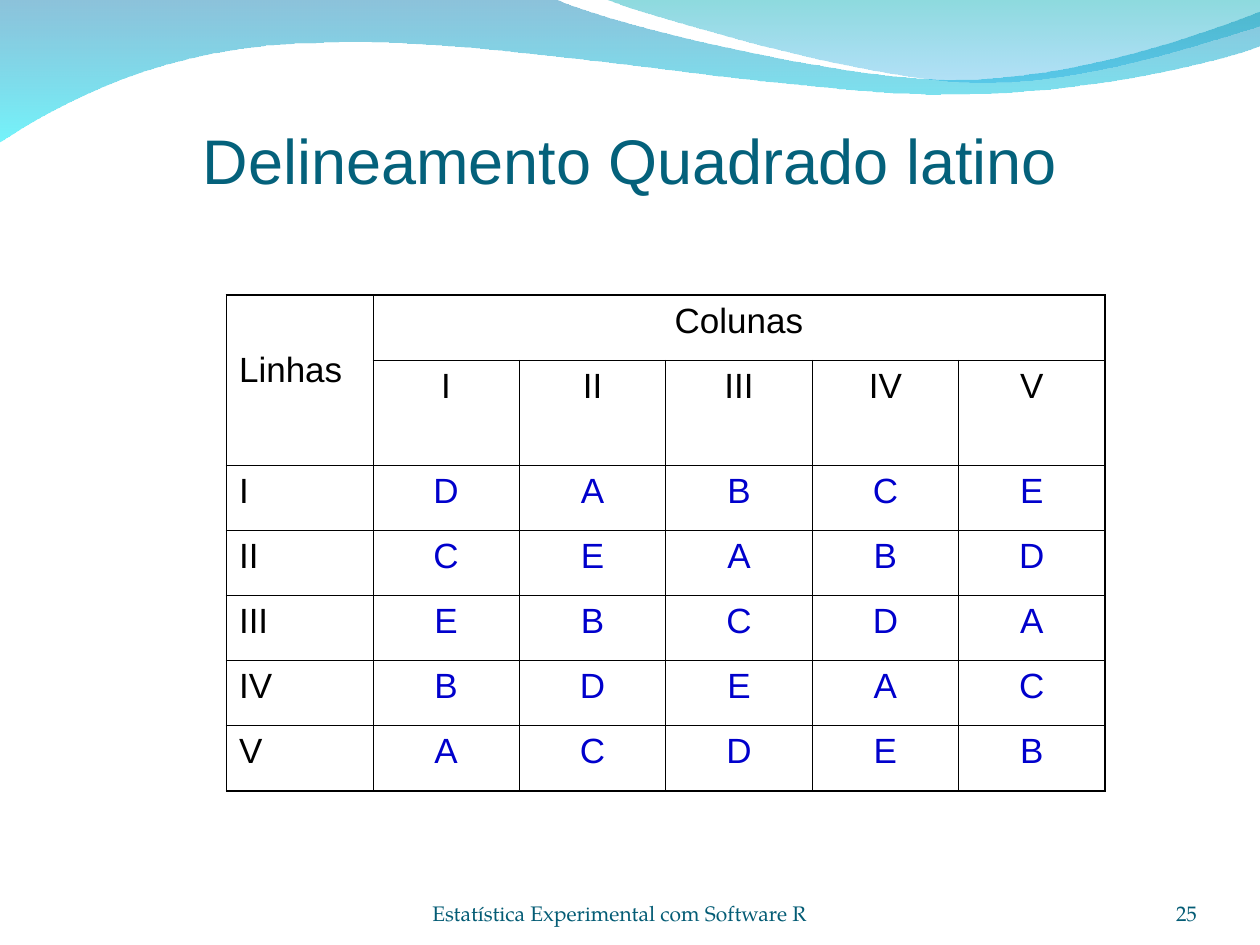
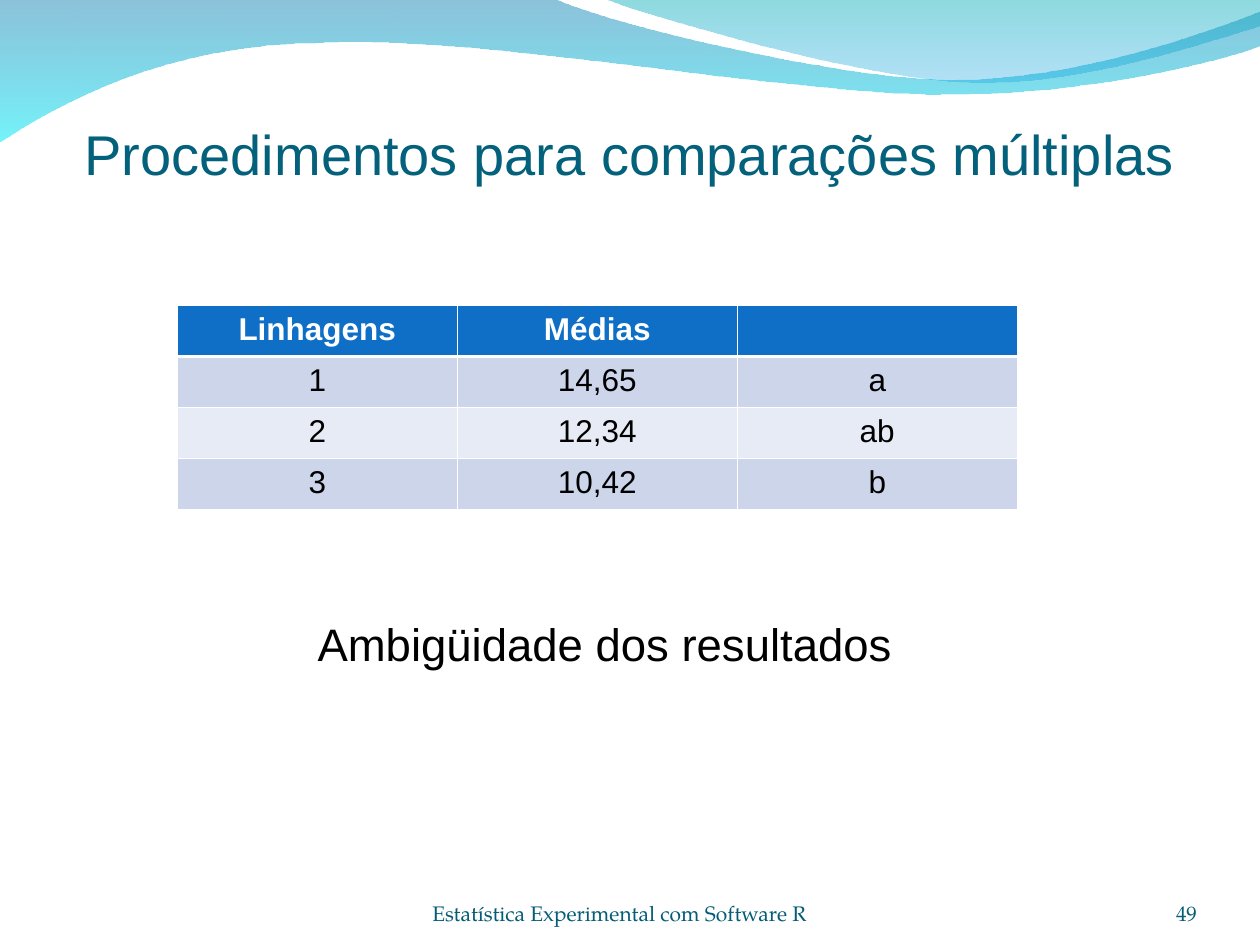
from lxml import etree
from pptx import Presentation
from pptx.dml.color import RGBColor
from pptx.enum.text import MSO_ANCHOR, PP_ALIGN
from pptx.oxml.ns import qn
from pptx.util import Pt

LEFT, CENTER, RIGHT = PP_ALIGN.LEFT, PP_ALIGN.CENTER, PP_ALIGN.RIGHT
TOP, BOTTOM = MSO_ANCHOR.TOP, MSO_ANCHOR.BOTTOM
SANS, SERIF = "Arial", "TeX Gyre Pagella"
TITLE, FOOTER, BLACK, WHITE, BLUE = "04617B", "045C75", "000000", "FFFFFF", "0000CC"
HEADER, BAND_DARK, BAND_LIGHT = "0F6FC6", "CCD5EA", "E7EBF5"
rgb = RGBColor.from_string


def write(tf, text, size, font, color, align, bold=False):
    p = tf.paragraphs[0]
    p.alignment = align
    r = p.add_run()
    r.text = text
    r.font.size = Pt(size)
    r.font.name = font
    r.font.bold = bold
    r.font.color.rgb = rgb(color)


def set_borders(cell, color, widths):
    tc_pr = cell._tc.get_or_add_tcPr()
    for i, (side, width) in enumerate(zip("LRTB", widths)):
        ln = etree.Element(qn(f"a:ln{side}"), w=str(Pt(width)))
        fill = etree.SubElement(ln, qn("a:solidFill"))
        etree.SubElement(fill, qn("a:srgbClr"), val=color)
        tc_pr.insert(i, ln)


prs = Presentation()
prs.slide_width, prs.slide_height = Pt(720), Pt(540)

waves = [
    ((0, -0.7), [
        [(316.8, -0.7)],
        [(342.7, 12.2), (478.1, 45.4), (545.8, 45.4)],
        [(614.2, 45.4), (689.8, 18.7), (720, 6.5)],
        [(720.7, 25.9)],
        [(707.8, 31.7), (626.4, 54.7), (537.1, 54)],
        [(447.8, 54), (275, 20.2), (185, 24.5)],
        [(92.9, 25.2), (33.1, 59.8), (-0.7, 81.4)],
        [(0, -0.7)],
    ], [("0079AF", 45), ("00EBF8", 55)]),
    ((344.9, -0.7), [
        [(366.5, 7.9), (491, 44.6), (553.7, 46.8)],
        [(616.3, 49.7), (691.9, 23), (720, 15.1)],
        [(720, 0)],
        [(344.9, -0.7)],
    ], [("00ADB6", 45), ("009BE5", 30)]),
]

pages = [
    ("Delineamento Quadrado latino", 36, 57.2, "25"),
    ("Procedimentos para comparações múltiplas", 32, 51.1, "49"),
]

for title, title_size, title_height, number in pages:
    s = prs.slides.add_slide(prs.slide_layouts[6])

    for start, segments, stops in waves:
        builder = s.shapes.build_freeform(Pt(start[0]), Pt(start[1]))
        builder.add_line_segments([(Pt(x), Pt(y)) for segment in segments for x, y in segment], close=True)
        sp = builder.convert_to_shape()
        lines = iter(list(sp._element.iter(qn("a:lnTo"))))
        for segment in segments:
            group = [next(lines) for _ in segment]
            if len(group) == 3:
                curve = etree.Element(qn("a:cubicBezTo"))
                group[0].addprevious(curve)
                for line in group:
                    curve.append(line[0])
                    line.getparent().remove(line)
        sp.shadow.inherit = False
        sp.line.fill.background()
        sp.fill.gradient()
        sp.fill.gradient_angle = 270
        for stop, (color, _) in zip(sp.fill.gradient_stops, stops):
            stop.color.rgb = rgb(color)
        for clr, (_, opacity) in zip(sp._element.iter(qn("a:srgbClr")), stops):
            etree.SubElement(clr, qn("a:alpha"), val=str(opacity * 1000))

    for x, y, w, h, inset_top, text, size, font, color, align in [
        (222, 500, 264.2, 28.8, 0, "Estatística Experimental com Software R", 12, SERIF, FOOTER, CENTER),
        (624.2, 500.4, 59.8, 28.8, 0, number, 12, SERIF, FOOTER, RIGHT),
        (36, 55.4, 648, title_height, 3.6, title, title_size, SANS, TITLE, CENTER),
    ]:
        tf = s.shapes.add_textbox(Pt(x), Pt(y), Pt(w), Pt(h)).text_frame
        tf.word_wrap = True
        tf.vertical_anchor = BOTTOM
        tf.margin_left = tf.margin_right = tf.margin_bottom = 0
        tf.margin_top = Pt(inset_top)
        write(tf, text, size, font, color, align)

latin_slide, means_slide = prs.slides

numerals = ["I", "II", "III", "IV", "V"]
square = ["DABCE", "CEABD", "EBCDA", "BDEAC", "ACDEB"]
rows = [["Linhas", "Colunas", "", "", "", ""], [""] + numerals]
rows += [[numeral, *letters] for numeral, letters in zip(numerals, square)]
heights = [37.2, 60] + [37.2] * 5
table = latin_slide.shapes.add_table(7, 6, Pt(129.4), Pt(168.7), Pt(502.2), Pt(sum(heights))).table
table.first_row = table.horz_banding = False
table.cell(0, 0).merge(table.cell(1, 0))
table.cell(0, 1).merge(table.cell(0, 5))
for col in table.columns:
    col.width = Pt(83.7)
for i, values in enumerate(rows):
    table.rows[i].height = Pt(heights[i])
    for j, value in enumerate(values):
        cell = table.cell(i, j)
        cell.fill.background()
        outer = (j == 0, j + cell.span_width == 6, i == 0, i == 6)
        set_borders(cell, BLACK, [1.08 if edge else 0.45 for edge in outer])
        if value:
            color = BLUE if i > 1 and j > 0 else BLACK
            write(cell.text_frame, value, 20, SANS, color, CENTER if j else LEFT)
table.cell(0, 0).margin_top = Pt(31.6)

means = [
    ["Linhagens", "Médias", ""],
    ["1", "14,65", "a"],
    ["2", "12,34", "ab"],
    ["3", "10,42", "b"],
]
table = means_slide.shapes.add_table(4, 3, Pt(101.3), Pt(174.5), Pt(480), Pt(116.8)).table
for col in table.columns:
    col.width = Pt(160)
for i, values in enumerate(means):
    table.rows[i].height = Pt(29.2)
    for j, value in enumerate(values):
        cell = table.cell(i, j)
        cell.fill.solid()
        cell.fill.fore_color.rgb = rgb(HEADER if i == 0 else BAND_DARK if i % 2 else BAND_LIGHT)
        set_borders(cell, WHITE, [0.45, 0.45, 1.47 if i == 1 else 0.45, 1.47 if i == 0 else 0.45])
        if value:
            write(cell.text_frame, value, 18, SANS, BLACK if i else WHITE, CENTER, i == 0)

tf = means_slide.shapes.add_textbox(Pt(174.4), Pt(348.5), Pt(348.5), Pt(50.4)).text_frame
tf.word_wrap = True
tf.vertical_anchor = TOP
write(tf, "Ambigüidade dos resultados", 26, SANS, BLACK, LEFT)

prs.save("out.pptx")
